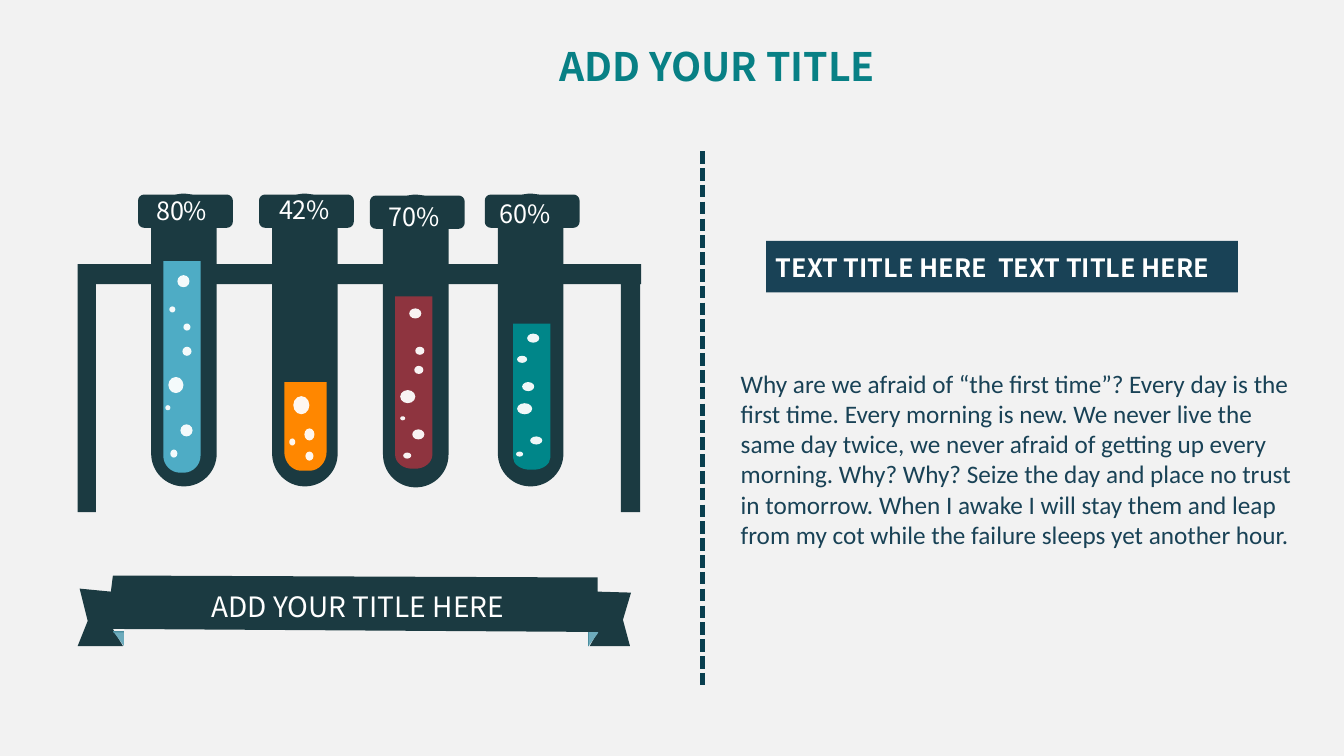
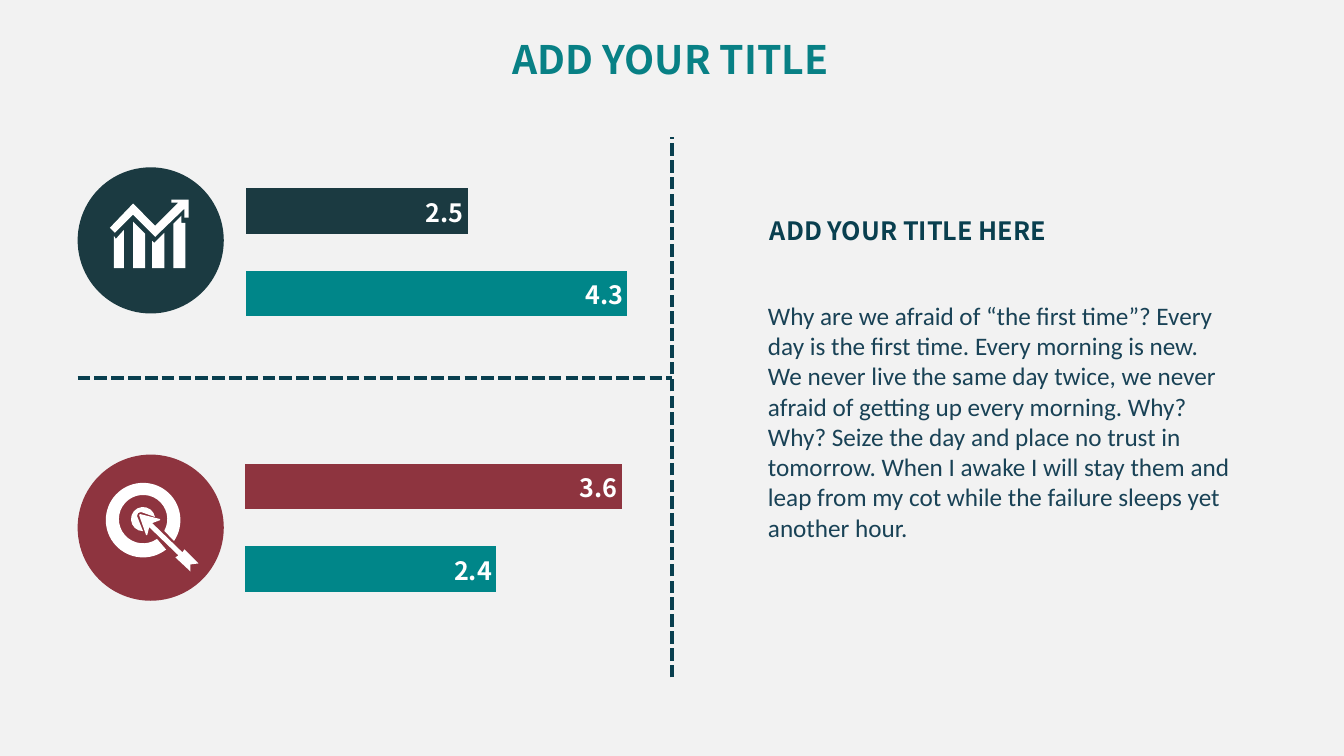
from dataclasses import dataclass
from itertools import chain
from math import ceil, cos, radians, sin, tan

from lxml import etree
from pptx import Presentation
from pptx.chart.data import CategoryChartData
from pptx.dml.color import RGBColor
from pptx.enum.chart import XL_CHART_TYPE, XL_LABEL_POSITION
from pptx.enum.dml import MSO_LINE
from pptx.enum.shapes import MSO_CONNECTOR, MSO_SHAPE
from pptx.enum.text import MSO_AUTO_SIZE
from pptx.oxml.ns import qn
from pptx.util import Inches, Pt

BAR = XL_CHART_TYPE.BAR_CLUSTERED
INSIDE_END = XL_LABEL_POSITION.INSIDE_END
SYS_DASH = MSO_LINE.SQUARE_DOT
STRAIGHT = MSO_CONNECTOR.STRAIGHT
ELLIPSE, RECT, TRIANGLE = MSO_SHAPE.OVAL, MSO_SHAPE.RECTANGLE, MSO_SHAPE.RIGHT_TRIANGLE
GROW = MSO_AUTO_SIZE.SHAPE_TO_FIT_TEXT


@dataclass(frozen=True)
class Theme:
    back: str = "F2F2F2"
    title: str = "088085"
    dark: str = "1B3A41"
    rule: str = "093F4F"
    navy: str = "194256"
    teal: str = "008689"
    blue: str = "4EACC5"
    orange: str = "FF8700"
    red: str = "8E343F"
    fold: str = "6DABBC"
    fold_end: str = "4B8E9F"
    white: str = "FFFFFF"
    head_font: str = "Noto Sans CJK SC"
    body_font: str = "Calibri"
    title_size: int = 28
    banner_size: int = 20
    text_size: int = 18


T = Theme()
BODY = ("Why are we afraid of “the first time”? Every day is the first time. "
        "Every morning is new. We never live the same day twice, we never afraid "
        "of getting up every morning. Why? Why? Seize the day and place no trust "
        "in tomorrow. When I awake I will stay them and leap from my cot while "
        "the failure sleeps yet another hour.")

RACK = [(0.77, 2.62), (6.36, 2.62), (6.36, 2.82), (6.35, 2.82), (6.35, 5.08),
        (6.16, 5.08), (6.16, 2.82), (0.95, 2.82), (0.95, 5.08), (0.77, 5.08)]
RIBBON = [(0.79, 5.84), (1.1, 5.87), (1.12, 5.71), (5.93, 5.73), (5.93, 5.87),
          (6.26, 5.88), (6.18, 6.15), (6.25, 6.41), (5.85, 6.41), (5.93, 6.27),
          (1.12, 6.24), (1.22, 6.41), (0.77, 6.41), (0.87, 6.16)]

# Each tube: glass (left, top), liquid (left, top, width, height, corner height),
# colour, label (text, left, top), bubbles (left, top, width, height)
TUBES = [
    ((1.37, 1.92), (1.62, 2.59, 0.37, 2.1, 0.17), T.blue, ("80%", 1.45, 1.89),
     [(1.76, 2.73, 0.12, 0.12), (1.67, 3.74, 0.15, 0.16), (1.82, 3.21, 0.07, 0.07),
      (1.81, 3.44, 0.09, 0.09), (1.79, 4.21, 0.12, 0.12), (1.68, 3.04, 0.06, 0.06),
      (1.69, 4.46, 0.07, 0.08), (1.64, 4.02, 0.05, 0.05)]),
    ((2.57, 1.92), (2.82, 3.79, 0.42, 0.88, 0.19), T.orange, ("42%", 2.67, 1.88),
     [(2.91, 3.93, 0.16, 0.18), (3.03, 4.48, 0.08, 0.09), (3.02, 4.25, 0.1, 0.12),
      (2.87, 4.35, 0.06, 0.07)]),
    ((3.67, 1.93), (3.92, 2.94, 0.37, 1.71, 0.14), T.red, ("70%", 3.76, 1.95),
     [(4.06, 3.06, 0.12, 0.1), (3.97, 3.87, 0.15, 0.13), (4.12, 3.44, 0.09, 0.08),
      (4.11, 3.63, 0.09, 0.08), (4.09, 4.26, 0.12, 0.1), (4, 4.49, 0.08, 0.06),
      (3.97, 4.13, 0.05, 0.04)]),
    ((4.81, 1.92), (5.09, 3.21, 0.37, 1.45, 0.12), T.teal, ("60%", 4.86, 1.92),
     [(5.23, 3.31, 0.12, 0.09), (5.13, 4, 0.15, 0.11), (5.18, 3.79, 0.12, 0.09),
      (5.26, 4.33, 0.12, 0.08), (5.12, 4.48, 0.07, 0.05), (5.13, 3.53, 0.1, 0.07)]),
]

TREND_ICON = [
    [(1.13, 2.34), (1.13, 2.66), (1.23, 2.66), (1.23, 2.28), (1.15, 2.37)],
    [(1.32, 2.2), (1.32, 2.66), (1.44, 2.66), (1.44, 2.32)],
    [(1.51, 2.39), (1.51, 2.66), (1.63, 2.66), (1.63, 2.31), (1.53, 2.41)],
    [(1.8, 2.14), (1.72, 2.22), (1.72, 2.66), (1.84, 2.66), (1.84, 2.21), (1.8, 2.21)],
    [(1.7, 1.98), (1.7, 2.01), (1.77, 2.01), (1.54, 2.24), (1.32, 2.02), (1.09, 2.26),
     (1.14, 2.31), (1.32, 2.13), (1.54, 2.35), (1.83, 2.07), (1.83, 2.16),
     (1.87, 2.16), (1.87, 1.98)],
]
ARROW = [(1.83, 5.45), (1.81, 5.48), (1.51, 5.19), (1.59, 5.16), (1.59, 5.15),
         (1.39, 5.1), (1.38, 5.11), (1.45, 5.31), (1.46, 5.31), (1.48, 5.23),
         (1.77, 5.51), (1.74, 5.53), (1.89, 5.67), (1.89, 5.6), (1.97, 5.59)]


def rgb(color):
    return RGBColor.from_string(color)


def arc(cx, cy, rx, ry, start, end):
    """A start point, then curves of three points; degrees run clockwise."""
    count = ceil(abs(end - start) / 90)
    turn = radians(end - start) / count
    k = 4 / 3 * tan(turn / 4)

    def at(angle, pull=0):
        return (cx + rx * (cos(angle) - pull * sin(angle)),
                cy + ry * (sin(angle) + pull * cos(angle)))

    angles = [radians(start) + turn * i for i in range(count + 1)]
    return [at(angles[0])] + [(at(a, k), at(b, -k), at(b))
                              for a, b in zip(angles, angles[1:])]


def glass_outline(x, y):
    r = 0.06
    return [(x + 0.37, y + 0.01), (x + 0.44, y), (x + 0.46, y), (x + 0.54, y + 0.01),
            *arc(x + 0.88, y + 0.07, r, r, -90, 0), *arc(x + 0.88, y + 0.28, r, r, 0, 90),
            (x + 0.78, y + 0.34), *arc(x + 0.455, y + 2.58, 0.325, 0.325, 0, 180),
            (x + 0.13, y + 0.34), *arc(x + r, y + 0.28, r, r, 90, 180),
            *arc(x + r, y + 0.07, r, r, 180, 270)]


def liquid_outline(x, y, w, h, ry):
    rx, base = 0.17, y + h - ry
    return [(x, y), (x + w, y), *arc(x + w - rx, base, rx, ry, 0, 90),
            *arc(x + rx, base, rx, ry, 90, 180)]


def target_outlines():
    ring = [*arc(1.42, 5.15, 0.24, 0.24, 55, 389), *arc(1.42, 5.16, 0.37, 0.37, 394, 52)]
    hub = [*arc(1.42, 5.15, 0.12, 0.12, 90, 350), (1.4, 5.08), (1.37, 5.09), (1.36, 5.12)]
    return [ring, hub, ARROW]


class Deck:
    def __init__(self):
        self.prs = Presentation()
        self.prs.slide_width, self.prs.slide_height = Inches(40 / 3), Inches(7.5)
        fill = self.prs.slide_master.background.fill
        fill.solid()
        fill.fore_color.rgb = rgb(T.back)

    def slide(self):
        self.s = self.prs.slides.add_slide(self.prs.slide_layouts[6])
        self.ungroup()

    def group(self):
        """Send the elements that follow into a new group."""
        self.shapes = self.s.shapes.add_group_shape().shapes

    def ungroup(self):
        self.shapes = self.s.shapes

    def paint(self, sp, color):
        sp.shadow.inherit = False
        sp.line.fill.background()
        sp.fill.solid()
        sp.fill.fore_color.rgb = rgb(color)
        return sp

    def shape(self, kind, box, color):
        return self.paint(self.shapes.add_shape(kind, *map(Inches, box)), color)

    def outline(self, points, color):
        """Closed outline of points (x, y) and curves of three points."""
        start, *rest = points
        steps = [step if len(step) == 3 else (step,) for step in rest]
        builder = self.shapes.build_freeform(*map(Inches, start))
        builder.add_line_segments([(Inches(x), Inches(y))
                                   for x, y in chain.from_iterable(steps)])
        sp = builder.convert_to_shape()
        lines = iter(list(sp._element.iter(qn("a:lnTo"))))
        for step in steps:
            first, *others = [next(lines) for _ in step]
            if others:
                curve = etree.Element(qn("a:cubicBezTo"))
                first.addprevious(curve)
                for line in (first, *others):
                    curve.append(line[0])
                    line.getparent().remove(line)
        self.paint(sp, color)

    def bubble(self, box):
        sp = self.shape(ELLIPSE, box, T.white)
        color = sp.fill._xPr.find(".//" + qn("a:srgbClr"))
        etree.SubElement(color, qn("a:alpha"), val="94000")

    def fold(self, box, rotation):
        sp = self.shape(TRIANGLE, box, T.fold)
        sp.rotation = rotation
        sp.fill.gradient()
        sp.fill.gradient_angle = 270
        stops = zip(sp.fill.gradient_stops, (T.fold, T.fold_end), (0.83, 1))
        for stop, color, position in stops:
            stop.color.rgb = rgb(color)
            stop.position = position

    def rule(self, start, end):
        line = self.shapes.add_connector(STRAIGHT, *map(Inches, (*start, *end)))
        line.line.color.rgb = rgb(T.rule)
        line.line.width = Pt(3)
        line.line.dash_style = SYS_DASH
        etree.SubElement(line._element.spPr, qn("a:effectLst"))

    def style(self, font, size, color, bold=False, name=T.head_font):
        font.name, font.size, font.bold = name, Pt(size), bold
        font.color.rgb = rgb(color)

    def text(self, text, box, color, size=T.text_size, bold=False,
             name=T.head_font, wrap=False):
        tf = self.shapes.add_textbox(*map(Inches, box)).text_frame
        tf.word_wrap = wrap
        tf.auto_size = GROW
        p = tf.paragraphs[0]
        p.text = text
        self.style(p.font, size, color, bold, name)

    def title(self, left, top):
        self.text("ADD YOUR TITLE", (left, top, 3.56, 0.57), T.title, T.title_size, True)

    def body(self, box):
        self.text(BODY, box, T.navy, name=T.body_font, wrap=True)

    def tube(self, glass, liquid, color, label, bubbles):
        self.outline(glass_outline(*glass), T.dark)
        self.outline(liquid_outline(*liquid), color)
        for box in bubbles:
            self.bubble(box)
        text, left, top = label
        self.text(text, (left, top, 0.8, 0.45), T.white)

    def icon(self, outlines):
        self.group()
        for points in outlines:
            self.outline(points, T.white)
        self.ungroup()

    def bars(self, box, values, colors, maximum):
        data = CategoryChartData()
        data.categories = ["1", "2"]
        data.add_series("Series 1", values)
        chart = self.shapes.add_chart(BAR, *map(Inches, box), data).chart
        chart.has_title = chart.has_legend = False
        chart.font.name, chart.font.size = T.body_font, Pt(10)
        chart.category_axis.visible = False
        axis = chart.value_axis
        axis.visible = axis.has_major_gridlines = False
        axis.minimum_scale, axis.maximum_scale = 0, maximum
        plot = chart.plots[0]
        plot.gap_width, plot.overlap, plot.vary_by_categories = 83, -16, False
        series = plot.series[0]
        for i, color in enumerate(colors):
            fill = series.points[i].format.fill
            fill.solid()
            fill.fore_color.rgb = rgb(color)
        labels = series.data_labels
        labels.show_value = True
        labels.position = INSIDE_END
        self.style(labels.font, T.text_size, T.white, True)


def tubes_slide(d):
    d.slide()
    d.group()
    d.outline(RACK, T.dark)
    for tube in TUBES:
        d.tube(*tube)

    d.group()
    d.outline(RIBBON, T.dark)
    d.fold((1.12, 6.26, 0.11, 0.15), 180)
    d.fold((5.81, 6.29, 0.15, 0.11), 90)
    d.text("ADD YOUR TITLE HERE", (2, 5.8, 3.27, 0.44), T.white, T.banner_size)
    d.ungroup()

    d.rule((6.97, 1.5), (6.97, 6.83))
    d.body((7.25, 3.6, 5.71, 1.92))
    d.group()
    d.shape(RECT, (7.6, 2.39, 4.68, 0.51), T.navy)
    d.text("TEXT TITLE HERE  TEXT TITLE HERE", (7.6, 2.45, 4.79, 0.4), T.white,
           bold=True, wrap=True)
    d.ungroup()
    d.title(5.45, 0.37)


def bars_slide(d):
    d.slide()
    d.rule((6.67, 6.72), (6.67, 1.36))
    d.rule((0.77, 3.75), (6.67, 3.75))
    for top, color in ((1.66, T.dark), (4.51, T.red)):
        d.shape(ELLIPSE, (0.77, top, 1.45, 1.45), color)
    d.bars((2.35, 1.65, 4.58, 1.71), (4.3, 2.5), (T.teal, T.dark), 5)
    d.bars((2.34, 4.38, 4.33, 1.71), (2.4, 3.6), (T.teal, T.red), 4)
    d.title(4.99, 0.3)
    d.text("ADD YOUR TITLE HERE", (7.54, 2.09, 3.11, 0.4), T.rule, bold=True)
    d.body((7.52, 2.93, 4.79, 2.52))
    d.icon(TREND_ICON)
    d.icon(target_outlines())


def main():
    d = Deck()
    tubes_slide(d)
    bars_slide(d)
    d.prs.save("out.pptx")


if __name__ == "__main__":
    main()
